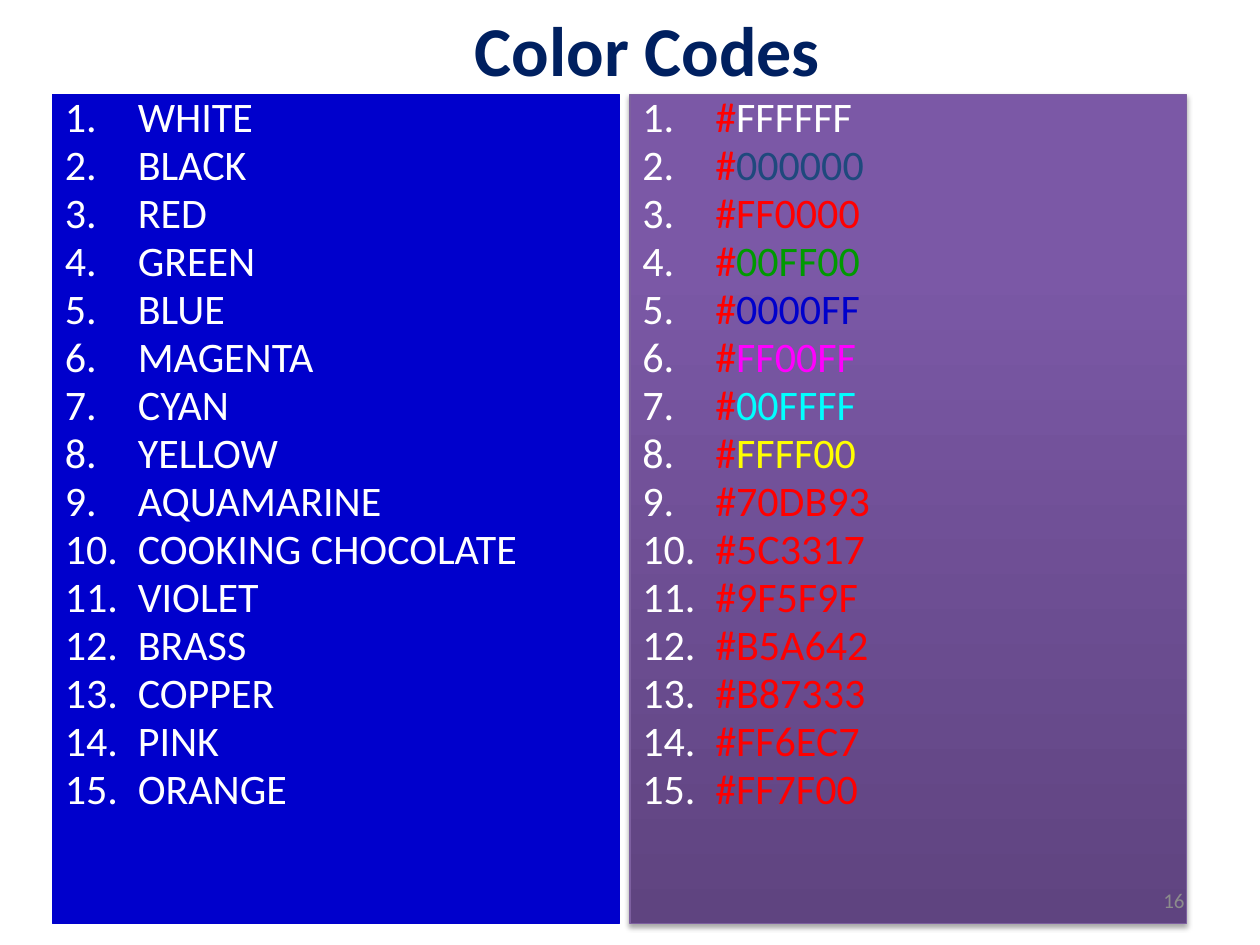
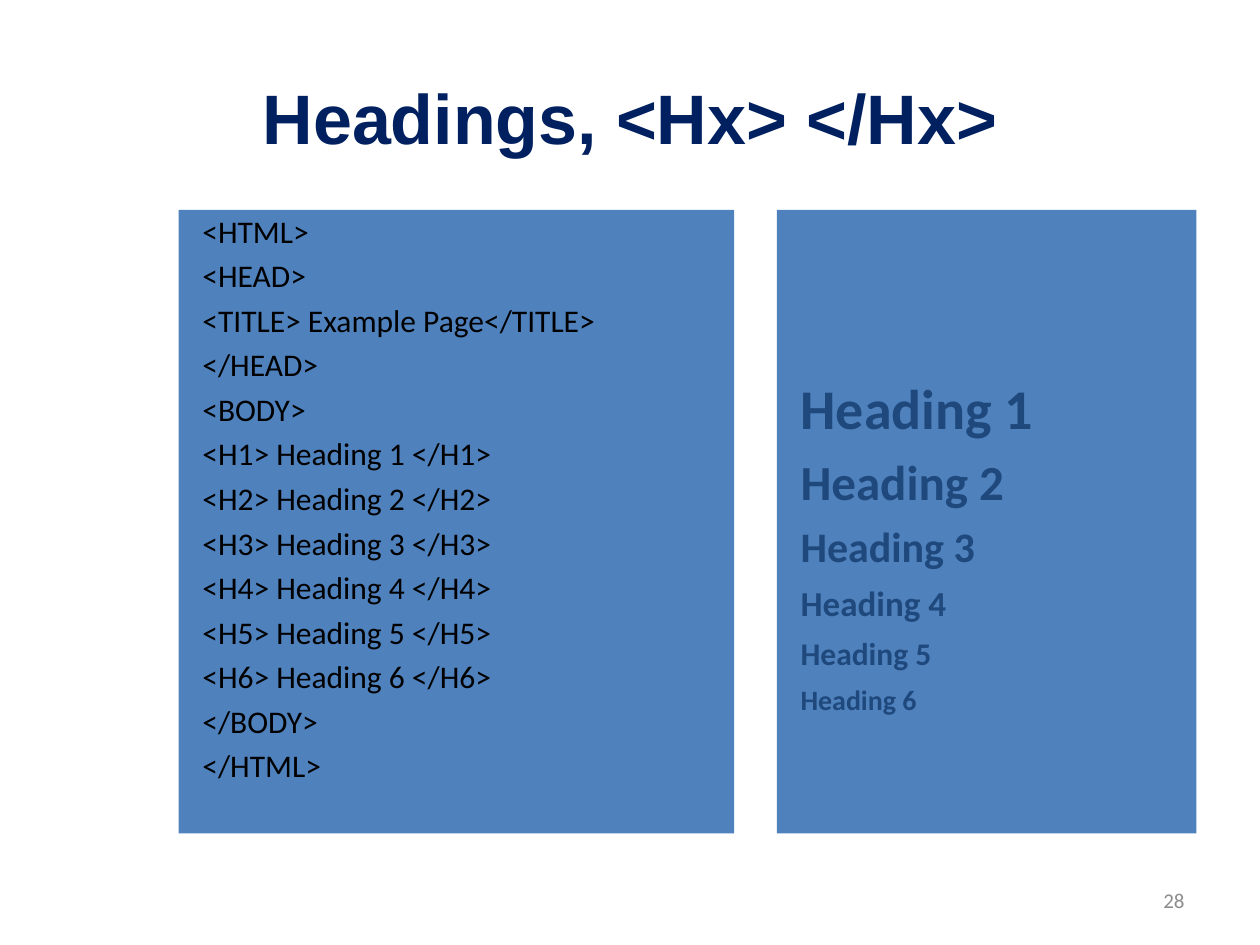
from lxml import etree
from pptx import Presentation
from pptx import util as u
from pptx.dml.color import RGBColor
from pptx.enum import shapes, text
from pptx.oxml.ns import qn

C = {
    "navy": "002060", "white": "FFFFFF", "black": "000000", "grey": "8C8C8C",
    "blue": "0000CC", "steel": "4F81BD", "slate": "1F497D", "red": "FF0000",
    "green": "009900", "magenta": "FF00FF", "cyan": "00FFFF", "yellow": "FFFF00",
    "purple_edge": "7D60A0",
}
PURPLE_STOPS = [(0, "5F4480"), (80, "7B58A6"), (100, "7C57A8")]

# name, code, colour in which the code is shown
COLOR_CODES = [
    ("WHITE", "FFFFFF", "white"),
    ("BLACK", "000000", "slate"),
    ("RED", "FF0000", "red"),
    ("GREEN", "00FF00", "green"),
    ("BLUE", "0000FF", "blue"),
    ("MAGENTA", "FF00FF", "magenta"),
    ("CYAN", "00FFFF", "cyan"),
    ("YELLOW", "FFFF00", "yellow"),
    ("AQUAMARINE", "70DB93", "red"),
    ("COOKING CHOCOLATE", "5C3317", "red"),
    ("VIOLET", "9F5F9F", "red"),
    ("BRASS", "B5A642", "red"),
    ("COPPER", "B87333", "red"),
    ("PINK", "FF6EC7", "red"),
    ("ORANGE", "FF7F00", "red"),
]
HEADING_SIZES = [32, 28, 24, 20, 18, 16]
HEADINGS = [f"Heading {n}" for n in range(1, len(HEADING_SIZES) + 1)]
HTML_LINES = (
    ["<HTML>", "<HEAD>", "<TITLE> Example Page</TITLE>", "</HEAD>", "<BODY>"]
    + [f"<H{n}> {h} </H{n}>" for n, h in enumerate(HEADINGS, 1)]
    + ["</BODY>", "</HTML>"]
)

# left, top, width, height in cm
NAMES_BOX = (1.06, 1.9, 11.43, 16.72)
CODES_BOX = (12.7, 1.9, 11.22, 16.72)
SOURCE_BOX = (3.6, 4.23, 11.2, 12.57)
RESULT_BOX = (15.66, 4.23, 8.46, 12.57)
NUMBER_BOX = (18.2, 17.65, 5.93, 1.01)
NUMBERED = dict(indent=1.47, hang=1.47, spacing=0.8, before=4.4, numbered=True)
UNNUMBERED = dict(indent=1.02, hang=0.79, before=6)


def add(parent, tag, **attrs):
    """Append a DrawingML child element and return it."""
    return etree.SubElement(parent, qn("a:" + tag), attrs)


def write(tf, paragraphs, size=24, font="Calibri", color="white", bold=False,
          align=text.PP_ALIGN.LEFT, anchor=text.MSO_ANCHOR.TOP, indent=0, hang=0,
          spacing=1.0, before=0, numbered=False):
    """Fill a frame; a paragraph is a list of (text, run overrides)."""
    tf.word_wrap = True
    tf.vertical_anchor = anchor
    for i, runs in enumerate(paragraphs):
        p = tf.add_paragraph() if i else tf.paragraphs[0]
        p.alignment, p.line_spacing, p.space_before = align, spacing, u.Pt(before)
        pPr = p._p.get_or_add_pPr()
        pPr.set("marL", str(u.Cm(indent)))
        pPr.set("indent", str(-u.Cm(hang)))
        if numbered:
            add(add(pPr, "buClr"), "srgbClr", val=C["white"])
            add(pPr, "buFont", typeface="+mj-lt")
            add(pPr, "buAutoNum", type="arabicPeriod")
        for words, own in runs:
            r = p.add_run()
            r.text = words
            r.font.name, r.font.bold = font, bold
            r.font.size = u.Pt(own.get("size", size))
            r.font.color.rgb = RGBColor.from_string(C[own.get("color", color)])


def label(s, box, words, **fmt):
    """Add a one-paragraph text box."""
    sp = s.shapes.add_textbox(*map(u.Cm, box))
    write(sp.text_frame, [[(words, {})]], **fmt)


def title(s, box, words, **fmt):
    """Add a slide title."""
    label(s, box, words, size=40, bold=True, color="navy", **fmt)


def page_number(s, number):
    """Add the page number at the lower right."""
    label(s, NUMBER_BOX, number, size=12, color="grey",
          align=text.PP_ALIGN.RIGHT, anchor=text.MSO_ANCHOR.MIDDLE)


def panel(s, box, paragraphs, fill=None, line=None, **fmt):
    """Add a rectangle with text, without shadow, and return it."""
    sp = s.shapes.add_shape(shapes.MSO_SHAPE.RECTANGLE, *map(u.Cm, box))
    sp.shadow.inherit = False
    if fill:
        sp.fill.solid()
        sp.fill.fore_color.rgb = RGBColor.from_string(C[fill])
    if line:
        sp.line.color.rgb = RGBColor.from_string(C[line])
        sp.line.width = u.Pt(0.75)
    else:
        sp.line.fill.background()
    write(sp.text_frame, paragraphs, **fmt)
    return sp


def shade(sp, stops):
    """Give a shape an upward gradient and a soft shadow below."""
    sp.fill.gradient()
    sp.fill.gradient_angle = 90
    spPr = sp._element.spPr
    gs_list = spPr.find(qn("a:gradFill")).find(qn("a:gsLst"))
    for gs in list(gs_list):
        gs_list.remove(gs)
    for percent, color in stops:
        add(add(gs_list, "gs", pos=str(percent * 1000)), "srgbClr", val=color)
    shadow = add(spPr.find(qn("a:effectLst")), "outerShdw", blurRad=str(u.Pt(3.1)),
                 dist=str(u.Pt(1.8)), dir="5400000", rotWithShape="0")
    add(add(shadow, "srgbClr", val=C["black"]), "alpha", val="35000")


def color_codes(s):
    """Build the list of colour names beside their codes."""
    names = [[(name, {})] for name, _, _ in COLOR_CODES]
    codes = [[("#", {"color": "red"}), (code, {"color": shown})]
             for _, code, shown in COLOR_CODES]
    panel(s, NAMES_BOX, names, fill="blue", line="blue", **NUMBERED)
    shade(panel(s, CODES_BOX, codes, line="purple_edge", **NUMBERED), PURPLE_STOPS)
    page_number(s, "16")
    title(s, (9.32, 0, 8.97, 1.96), "Color Codes")


def headings(s):
    """Build the HTML source beside the headings it gives."""
    title(s, (1.27, 0.76, 22.86, 3.18), "Headings, <Hx> </Hx>", font="Arial",
          align=text.PP_ALIGN.CENTER, anchor=text.MSO_ANCHOR.MIDDLE)
    page_number(s, "28")
    panel(s, SOURCE_BOX, [[(words, {})] for words in HTML_LINES], fill="steel",
          size=18, color="black", spacing=0.9, **UNNUMBERED)
    sized = [[(h, {"size": size})] for h, size in zip(HEADINGS, HEADING_SIZES)]
    sp = panel(s, RESULT_BOX, sized, fill="steel", color="slate", bold=True, **UNNUMBERED)
    sp.text_frame.margin_top = u.Cm(3.3)


prs = Presentation()
prs.slide_width, prs.slide_height = u.Cm(25.4), u.Cm(19.05)
for build in (color_codes, headings):
    build(prs.slides.add_slide(prs.slide_layouts[6]))
prs.save("out.pptx")
